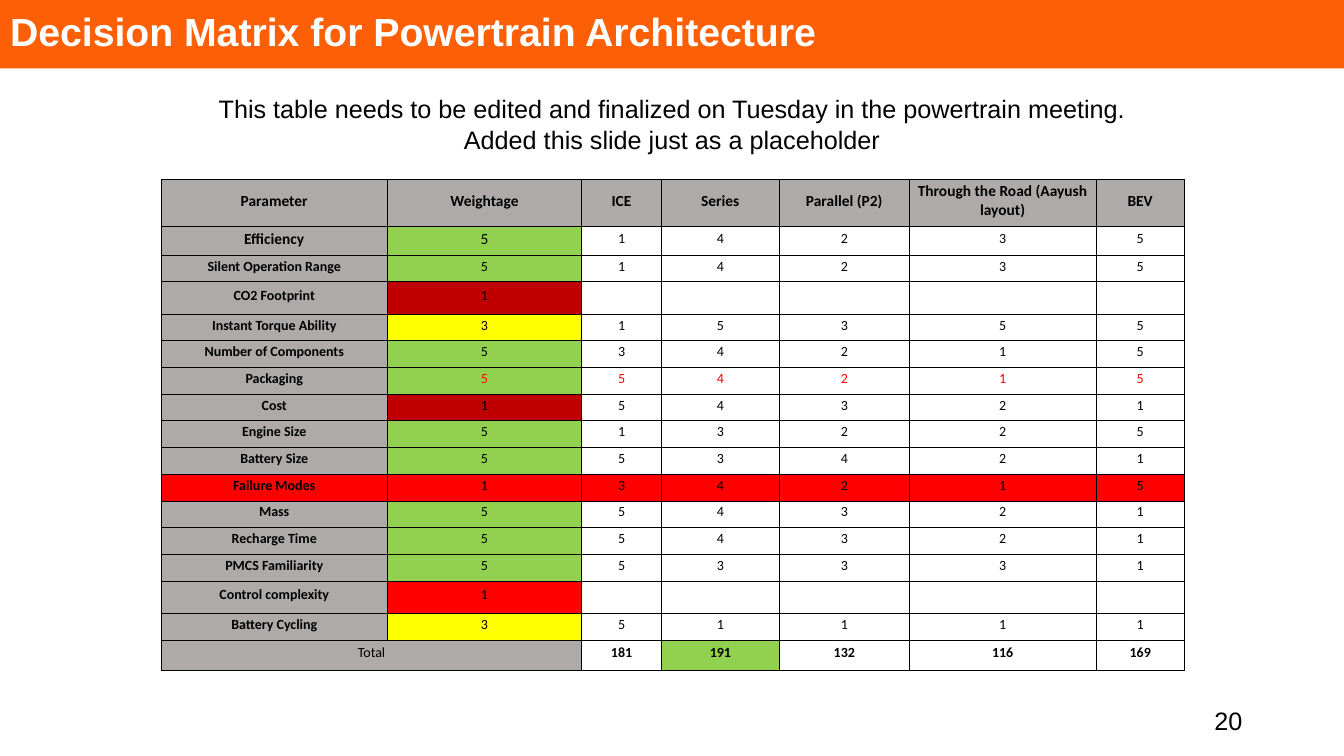
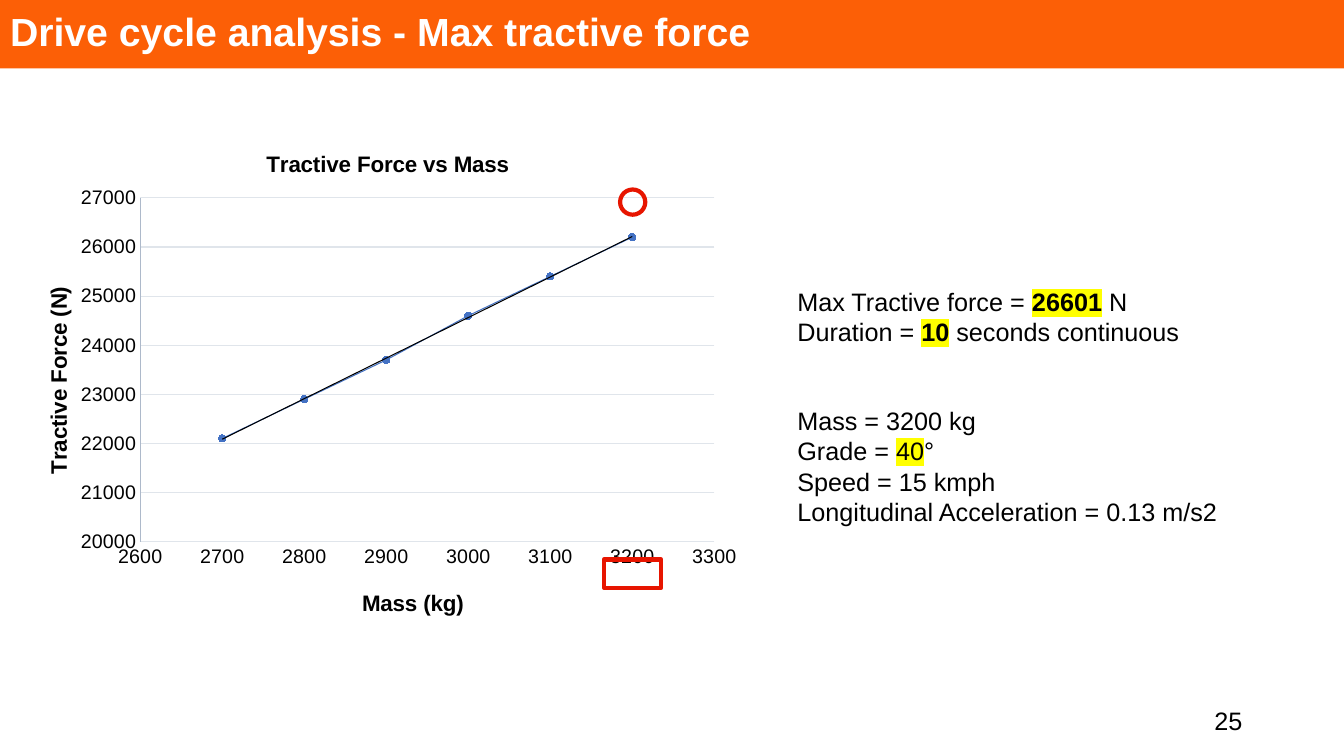
from lxml import etree
from pptx import Presentation
from pptx import util as u
from pptx.chart import data as cd
from pptx.dml.color import RGBColor
from pptx.enum import chart as ch, shapes, text
from pptx.oxml import ns, parse_xml

BLACK = RGBColor(0, 0, 0)
WHITE = RGBColor(0xFF, 0xFF, 0xFF)
ORANGE = RGBColor(0xFC, 0x5F, 0x06)
GREY = RGBColor(0xAE, 0xAA, 0xAA)
GREEN = RGBColor(0x92, 0xD0, 0x50)
YELLOW = RGBColor(0xFF, 0xFF, 0)
RED = RGBColor(0xFF, 0, 0)
DARK = RGBColor(0xC0, 0, 0)
BLUE = RGBColor(0x44, 0x72, 0xC4)
DOT = RGBColor(0x3E, 0x70, 0xCA)
GRID = RGBColor(0xE0, 0xE5, 0xEB)
AXIS = RGBColor(0xAD, 0xB9, 0xCA)
MARK = RGBColor(0xE7, 0x15, 0)
MID = text.MSO_ANCHOR.MIDDLE
LEFT, CENTER, RIGHT = text.PP_ALIGN.LEFT, text.PP_ALIGN.CENTER, text.PP_ALIGN.RIGHT

prs = Presentation()
prs.slide_width, prs.slide_height = u.Inches(13.33), u.Inches(7.5)


def style(par, size, color=BLACK, bold=False, name="Arial", align=None):
    if align is not None:
        par.alignment = align
    font = par.font
    font.size, font.bold, font.name = u.Pt(size), bold, name
    font.color.rgb = color


def start(title, page):
    """Add a slide with the orange title band and its page number."""
    slide = prs.slides.add_slide(prs.slide_layouts[5])
    band = slide.shapes.title
    band.left, band.top, band.width, band.height = 0, 0, prs.slide_width, u.Inches(0.68)
    band.fill.solid()
    band.fill.fore_color.rgb = ORANGE
    frame = band.text_frame
    frame.text = title
    frame.auto_size = text.MSO_AUTO_SIZE.NONE
    frame.vertical_anchor = MID
    frame.paragraphs[0].line_spacing = 0.9
    style(frame.paragraphs[0], 28, WHITE, True, align=LEFT)
    box = slide.shapes.add_textbox(u.Inches(9.42), u.Inches(6.95), u.Inches(3), u.Inches(0.4))
    frame = box.text_frame
    frame.word_wrap, frame.vertical_anchor = True, MID
    frame.text = page
    style(frame.paragraphs[0], 18, align=RIGHT)
    return slide


# Slide 1: decision matrix
slide = start("Decision Matrix for Powertrain Architecture", "20")
note = slide.shapes.add_textbox(u.Inches(2.06), u.Inches(0.88), u.Inches(9.21), u.Inches(0.71))
note.text_frame.word_wrap = False
note.text_frame.text = ("This table needs to be edited and finalized on Tuesday in the powertrain meeting.\n"
                        "Added this slide just as a placeholder")
for par in note.text_frame.paragraphs:
    style(par, 18, align=CENTER)

# Each row: label, weight, then one score per layout
rows = [
    ("Parameter", "Weightage", "ICE", "Series", "Parallel (P2)",
     "Through the Road (Aayush layout)", "BEV"),
    ("Efficiency", 5, 1, 4, 2, 3, 5),
    ("Silent Operation Range", 5, 1, 4, 2, 3, 5),
    ("CO2 Footprint", 1, "", "", "", "", ""),
    ("Instant Torque Ability", 3, 1, 5, 3, 5, 5),
    ("Number of Components", 5, 3, 4, 2, 1, 5),
    ("Packaging", 5, 5, 4, 2, 1, 5),
    ("Cost", 1, 5, 4, 3, 2, 1),
    ("Engine Size", 5, 1, 3, 2, 2, 5),
    ("Battery Size", 5, 5, 3, 4, 2, 1),
    ("Failure Modes", 1, 3, 4, 2, 1, 5),
    ("Mass", 5, 5, 4, 3, 2, 1),
    ("Recharge Time", 5, 5, 4, 3, 2, 1),
    ("PMCS Familiarity", 5, 5, 3, 3, 3, 1),
    ("Control complexity", 1, "", "", "", "", ""),
    ("Battery Cycling", 3, 5, 1, 1, 1, 1),
    ("Total", "", 181, 191, 132, 116, 169),
]
last = len(rows) - 1
tints = {5: GREEN, 3: YELLOW, 1: DARK}
table = slide.shapes.add_table(len(rows), 7, u.Inches(1.6), u.Inches(1.78),
                               u.Inches(10.14), u.Inches(4.86)).table
for col, wide in zip(table.columns, (2.24, 1.93, 0.79, 1.17, 1.29, 1.85, 0.88)):
    col.width = u.Inches(wide)
high = {0: 0.47, 1: 0.28, 3: 0.32, 14: 0.32, last: 0.3}
for r, row in enumerate(rows):
    table.rows[r].height = u.Inches(high.get(r, 0.265))
    for c, value in enumerate(row):
        cell = table.cell(r, c)
        cell.text = str(value)
        cell.vertical_anchor = MID
        cell.margin_left = cell.margin_right = cell.margin_top = u.Inches(0.01)
        cell.margin_bottom = u.Inches(0.05)
        size = 11 if r == 0 or (r == 1 and c < 2) else 10
        bold = r == 0 or (c > 1 if r == last else c == 0)
        color = RED if row[0] == "Packaging" and c else BLACK
        style(cell.text_frame.paragraphs[0], size, color, bold, "Calibri", CENTER)
        # Borders go before the fill
        props = cell._tc.get_or_add_tcPr()
        for side in "LRTB":
            props.append(parse_xml(
                f'<a:ln{side} {ns.nsdecls("a")} w="6350"><a:solidFill>'
                f'<a:srgbClr val="{BLACK}"/></a:solidFill></a:ln{side}>'))
        if row[0] == "Failure Modes" or (row[0] == "Control complexity" and c == 1):
            fill = RED
        elif r == 0 or c == 0:
            fill = GREY
        elif c == 1:
            fill = tints.get(value, GREY)
        else:
            fill = GREEN if value == 191 else WHITE
        cell.fill.solid()
        cell.fill.fore_color.rgb = fill
table.cell(last, 0).merge(table.cell(last, 1))

# Slide 2: tractive force
slide = start("Drive cycle analysis - Max tractive force", "25")
facts = slide.shapes.add_textbox(u.Inches(7.81), u.Inches(2.79), u.Inches(5.52), u.Inches(2.52))
frame = facts.text_frame
frame.word_wrap = True
# Each line: lead, marked value, tail, bold value
lines = [
    ("Max Tractive force = ", "26601", " N", True),
    ("Duration = ", "10", " seconds continuous", True),
    ("Mass = 3200 kg", "", "", False),
    ("Grade = ", "40", "°", False),
    ("Speed = 15 kmph", "", "", False),
    ("Longitudinal Acceleration = 0.13 m/s2", "", "", False),
]
for i, (lead, value, tail, bold) in enumerate(lines):
    par = frame.add_paragraph() if i else frame.paragraphs[0]
    if lead.startswith("Mass"):
        par.space_before = u.Pt(42)
    style(par, 18)
    for part in filter(None, (lead, value, tail)):
        run = par.add_run()
        run.text = part
        if part == value:
            run.font.bold = bold
            glow = etree.SubElement(run._r.get_or_add_rPr(), ns.qn("a:highlight"))
            etree.SubElement(glow, ns.qn("a:srgbClr"), val=str(YELLOW))

# Scatter chart
data = cd.XyChartData()
points = data.add_series("Series 1")
for mass, force in zip(range(2700, 3300, 100), (22100, 22900, 23700, 24600, 25400, 26200)):
    points.add_data_point(mass, force)
chart = slide.shapes.add_chart(ch.XL_CHART_TYPE.XY_SCATTER_LINES, u.Inches(0.15), u.Inches(1.22),
                               u.Inches(7.3), u.Inches(5.06), data).chart
chart.has_legend = False
chart.font.size, chart.font.name = u.Pt(10), "Arial"
chart.font.color.rgb = BLACK
chart.plots[0].vary_by_categories = False
chart.has_title = True
xs, ys = chart.category_axis, chart.value_axis
for axis, low, top, step, color in ((xs, 2600, 3300, 100, GRID), (ys, 20000, 27000, 1000, AXIS)):
    axis.minimum_scale, axis.maximum_scale, axis.major_unit = low, top, step
    axis.major_tick_mark = axis.minor_tick_mark = ch.XL_TICK_MARK.NONE
    axis.has_major_gridlines = axis is ys
    axis.tick_labels.font.size = u.Pt(14)
    axis.tick_labels.number_format = "General"
    axis.tick_labels.number_format_is_linked = False
    axis.format.line.color.rgb = color
    axis.format.line.width = u.Pt(0.75)
ys.major_gridlines.format.line.color.rgb = GRID
ys.major_gridlines.format.line.width = u.Pt(0.75)

# Chart titles and the place of each part, as shares of the chart
spots = [(chart._chartSpace.chart.plotArea, 0, {"x": 0.17, "y": 0.147, "w": 0.78, "h": 0.674})]
for title, words, x, y in (
        (chart.chart_title, "Tractive Force vs Mass", 0.336, 0.045),
        (xs.axis_title, "Mass (kg)", 0.466, 0.905),
        (ys.axis_title, "Tractive Force (N)", 0.034, 0.313)):
    title.text_frame.text = words
    style(title.text_frame.paragraphs[0], 16, bold=True)
    spots.append((title._element, 1, {"x": x, "y": y}))
ys.axis_title.text_frame._txBody.find(ns.qn("a:bodyPr")).set("rot", "-5400000")
for node, place, sizes in spots:
    for old in node.findall(ns.qn("c:layout")):
        node.remove(old)
    layout = etree.Element(ns.qn("c:layout"))
    manual = etree.SubElement(layout, ns.qn("c:manualLayout"))
    if "w" in sizes:
        etree.SubElement(manual, ns.qn("c:layoutTarget"), val="inner")
    for key in "xy":
        etree.SubElement(manual, ns.qn(f"c:{key}Mode"), val="edge")
    for key, share in sizes.items():
        etree.SubElement(manual, ns.qn(f"c:{key}"), val=str(share))
    node.insert(place, layout)

# Series look and trend line
series = chart.plots[0].series[0]
series.smooth = False
series.format.line.color.rgb = BLUE
series.format.line.width = u.Pt(0.75)
series.marker.style, series.marker.size = ch.XL_MARKER_STYLE.CIRCLE, 5
series.marker.format.fill.solid()
series.marker.format.fill.fore_color.rgb = DOT
series.marker.format.line.color.rgb = DOT
series._element.find(ns.qn("c:xVal")).addprevious(parse_xml(
    f'<c:trendline {ns.nsdecls("c", "a")}><c:spPr><a:ln w="9525"><a:solidFill>'
    f'<a:srgbClr val="{BLACK}"/></a:solidFill></a:ln></c:spPr>'
    '<c:trendlineType val="linear"/><c:dispRSqr val="0"/><c:dispEq val="0"/></c:trendline>'))

# Red marks
for kind, *spot in ((shapes.MSO_SHAPE.RECTANGLE, 5.99, 5.55, 0.57, 0.28),
                    (shapes.MSO_SHAPE.OVAL, 6.15, 1.88, 0.25, 0.25)):
    ring = slide.shapes.add_shape(kind, *map(u.Inches, spot))
    ring.shadow.inherit = False
    ring.fill.background()
    ring.line.color.rgb = MARK
    ring.line.width = u.Pt(3)

prs.save("out.pptx")
